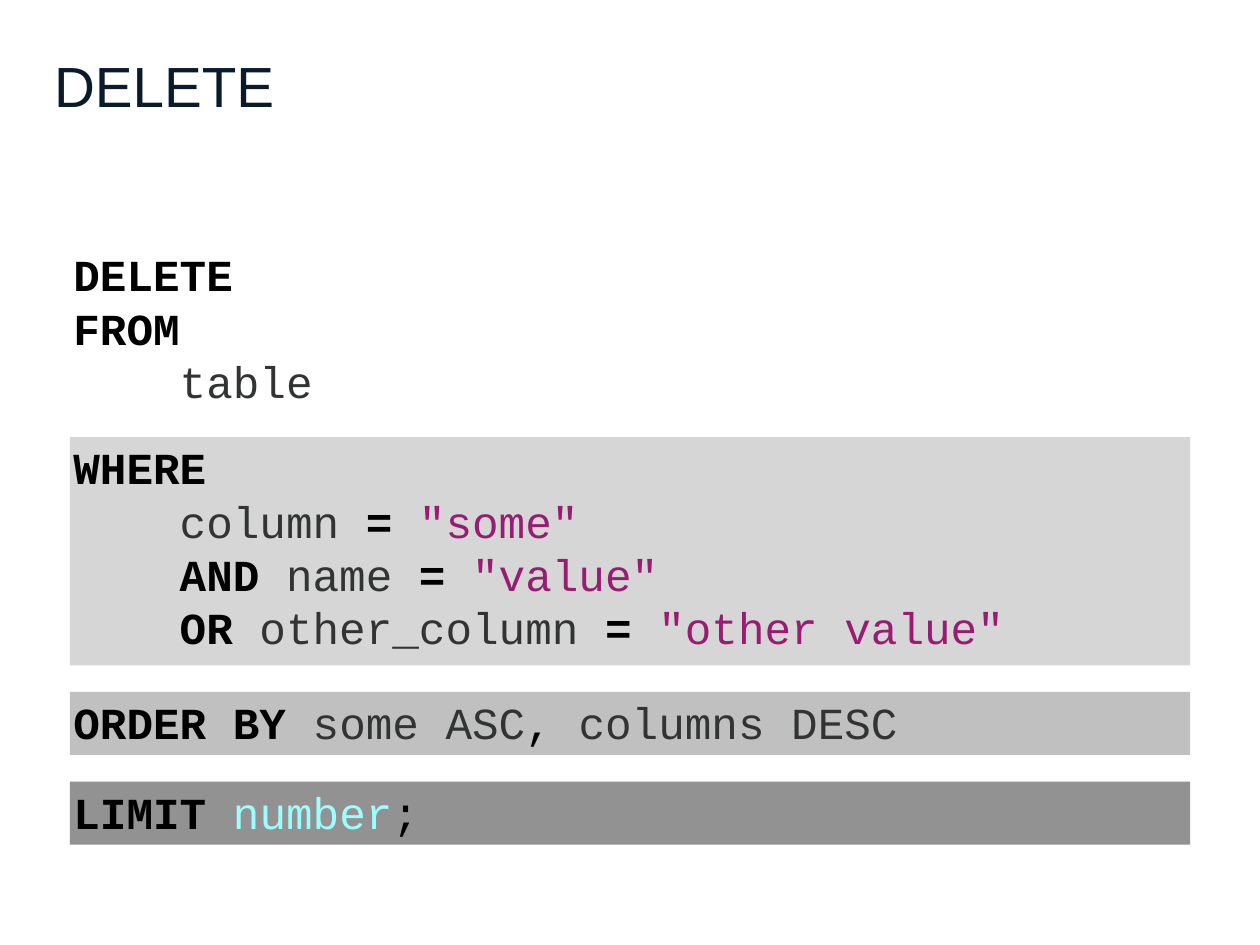
from dataclasses import dataclass
from typing import Optional

from pptx import Presentation
from pptx.dml.color import RGBColor
from pptx.enum.shapes import MSO_SHAPE
from pptx.enum.text import MSO_ANCHOR, PP_ALIGN
from pptx.util import Inches, Pt

RECTANGLE = MSO_SHAPE.RECTANGLE
TOP, MIDDLE = MSO_ANCHOR.TOP, MSO_ANCHOR.MIDDLE
LEFT = PP_ALIGN.LEFT

# Grid: 128 columns by 96 rows
SLIDE_WIDTH, SLIDE_HEIGHT = Inches(14.22), Inches(10.67)
COLUMN, ROW = SLIDE_WIDTH / 128, SLIDE_HEIGHT / 96
CODE_LEFT, CODE_WIDTH = 7.1, 113.8

CODE_SIZE = 36
CODE_INDENT = Pt(4 * 0.6 * CODE_SIZE)  # four monospaced characters
CODE_INSET = Inches(0.04)

COLORS = {
    "title": "0A1A2A",
    "keyword": "000000",
    "plain": "000000",
    "name": "323333",
    "string": "991C73",
    "number": "9DFEFF",
    "where": "D6D6D6",
    "order": "C0C0C0",
    "limit": "929292",
}


@dataclass
class Token:
    text: str
    role: str


@dataclass
class Line:
    tokens: list[Token]
    indented: bool = False


@dataclass
class Clause:
    top: float
    height: float
    fill: Optional[str]
    lines: list[Line]


def color(key: str) -> RGBColor:
    return RGBColor.from_string(COLORS[key])


def keyword(text: str) -> Line:
    return Line([Token(text, "keyword")])


def condition(column: str, value: str, operator: str = "") -> Line:
    tokens = [Token(operator, "keyword")] if operator else []
    tokens += [Token(column, "name"), Token("= ", "keyword"), Token(value, "string")]
    return Line(tokens, indented=True)


def place(shape, left: float, top: float, width: float, height: float) -> None:
    shape.left, shape.top = round(left * COLUMN), round(top * ROW)
    shape.width, shape.height = round(width * COLUMN), round(height * ROW)


def set_frame(frame, inset: int, anchor) -> None:
    frame.word_wrap = True
    frame.vertical_anchor = anchor
    frame.margin_left = frame.margin_right = inset
    frame.margin_top = frame.margin_bottom = inset


def add_run(paragraph, text: str, font: str, size: int, key: str, bold: bool) -> None:
    run = paragraph.add_run()
    run.text = text
    run.font.name, run.font.size, run.font.bold = font, Pt(size), bold
    run.font.color.rgb = color(key)


def draw_title(slide, text: str) -> None:
    title = slide.shapes.title
    place(title, 5.5, 0.2, 117, 17.6)
    set_frame(title.text_frame, 0, MIDDLE)
    paragraph = title.text_frame.paragraphs[0]
    paragraph.alignment = LEFT
    paragraph.line_spacing, paragraph.space_before = 0.95, Pt(16)
    add_run(paragraph, text, "Arial", 46, "title", False)


def draw_clause(slide, clause: Clause) -> None:
    if clause.fill:
        block = slide.shapes.add_shape(RECTANGLE, 0, 0, 0, 0)
        block.shadow.inherit = False
        block.fill.solid()
        block.fill.fore_color.rgb = color(clause.fill)
        block.line.fill.background()
    else:
        block = slide.shapes.add_textbox(0, 0, 0, 0)
    place(block, CODE_LEFT, clause.top, CODE_WIDTH, clause.height)
    frame = block.text_frame
    set_frame(frame, CODE_INSET, TOP)
    for index, line in enumerate(clause.lines):
        paragraph = frame.add_paragraph() if index else frame.paragraphs[0]
        paragraph.alignment = LEFT
        if line.indented:
            properties = paragraph._p.get_or_add_pPr()
            properties.set("marL", str(CODE_INDENT))
            properties.set("indent", "0")
        for token in line.tokens:
            add_run(paragraph, token.text, "Courier New", CODE_SIZE,
                    token.role, token.role == "keyword")


# Clauses of the statement, from top to bottom
CLAUSES = [
    Clause(24.8, 17.6, None, [
        keyword("DELETE"),
        keyword("FROM"),
        Line([Token("table", "name")], indented=True),
    ]),
    Clause(44.4, 23.2, "where", [
        keyword("WHERE"),
        condition("column ", '"some"'),
        condition("name ", '"value"', "AND "),
        condition("other_column ", '"other value"', "OR "),
    ]),
    Clause(70.3, 6.4, "order", [
        Line([Token("ORDER BY ", "keyword"), Token("some ASC", "name"),
              Token(", ", "plain"), Token("columns DESC", "name")]),
    ]),
    Clause(79.4, 6.4, "limit", [
        Line([Token("LIMIT ", "keyword"), Token("number", "number"),
              Token(";", "plain")]),
    ]),
]


def main() -> None:
    deck = Presentation()
    deck.slide_width, deck.slide_height = SLIDE_WIDTH, SLIDE_HEIGHT
    slide = deck.slides.add_slide(deck.slide_layouts[5])
    draw_title(slide, "DELETE")
    for clause in CLAUSES:
        draw_clause(slide, clause)
    deck.save("out.pptx")


if __name__ == "__main__":
    main()
